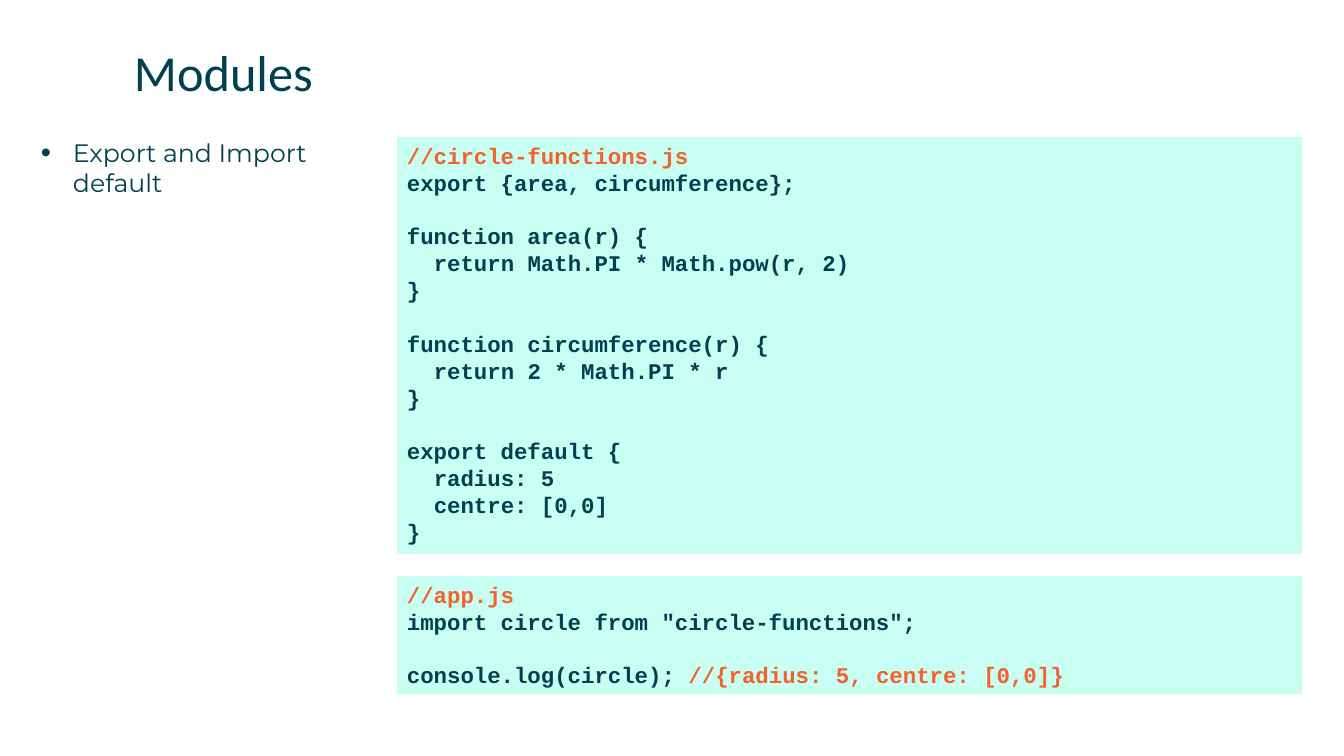
from pptx import Presentation
from pptx.dml.color import RGBColor
from pptx.enum.shapes import MSO_SHAPE as Shape
from pptx.enum.text import MSO_ANCHOR as Anchor, PP_ALIGN as Align
from pptx.oxml.ns import qn
from pptx.util import Pt
from lxml.etree import SubElement

TITLE = "Modules"
BULLET = "Export and Import default"
CIRCLE_CODE = """//circle-functions.js
export {area, circumference};

function area(r) {
  return Math.PI * Math.pow(r, 2)
}

function circumference(r) {
  return 2 * Math.PI * r
}

export default {
  radius: 5
  centre: [0,0]
}"""
APP_CODE = """//app.js
import circle from "circle-functions";

console.log(circle); //{radius: 5, centre: [0,0]}"""

# left, top, width, height in px
TITLE_BOX = (134, 41, 1168, 57)
BULLET_BOX = (41, 137, 355, 578)
CODE_BOXES = [
    ((397, 576, 905, 118), APP_CODE),
    ((397, 137, 905, 417), CIRCLE_CODE),
]

INK, COMMENT, PANEL = "004050", "F3612C", "C8FFF2"
TITLE_FONT = {"name": "Calibri", "size": Pt(36)}
BULLET_FONT = {"name": "Montserrat", "size": Pt(18)}
CODE_FONT = {"name": "Courier New", "size": Pt(16), "bold": True}
CODE_LINE = Pt(19.2)
CODE_CHARACTER = Pt(9.6)
EMU_PER_PX = 914400 / 100.8


def px(length):
    return round(length * EMU_PER_PX)


def color(hex_string):
    return RGBColor.from_string(hex_string)


def add_run(paragraph, text, font_format, ink=INK):
    run = paragraph.add_run()
    run.text = text
    for name, value in font_format.items():
        setattr(run.font, name, value)
    run.font.color.rgb = color(ink)


def set_indent(paragraph, left, first=0):
    properties = paragraph._p.get_or_add_pPr()
    properties.set("marL", str(left))
    properties.set("indent", str(first))
    return properties


def add_text(slide, box, text, font_format):
    frame = slide.shapes.add_textbox(*map(px, box)).text_frame
    frame.word_wrap = True
    for side in ("left", "top", "right", "bottom"):
        setattr(frame, f"margin_{side}", 0)
    paragraph = frame.paragraphs[0]
    add_run(paragraph, text, font_format)
    return paragraph


def add_bullet(paragraph):
    paragraph.space_after = Pt(6.5)
    properties = set_indent(paragraph, px(32), px(-32))
    SubElement(properties, qn("a:buSzPct"), val="115000")
    SubElement(properties, qn("a:buFont"), typeface="Arial")
    SubElement(properties, qn("a:buChar"), char="•")


def add_code(slide, box, code):
    """Draw a code panel: blank lines become spacing, leading spaces an indent."""
    panel = slide.shapes.add_shape(Shape.RECTANGLE, *map(px, box))
    panel.shadow.inherit = False
    panel.fill.solid()
    panel.fill.fore_color.rgb = color(PANEL)
    panel.line.fill.background()
    frame = panel.text_frame
    frame.word_wrap = True
    frame.vertical_anchor = Anchor.TOP
    paragraph = frame.paragraphs[0]
    after_blank = False
    for number, line in enumerate(code.split("\n")):
        if not line:
            after_blank = True
            continue
        if number:
            paragraph = frame.add_paragraph()
        paragraph.alignment = Align.LEFT
        paragraph.line_spacing = CODE_LINE
        paragraph.space_before = CODE_LINE if after_blank else 0
        after_blank = False
        statement = line.lstrip()
        set_indent(paragraph, (len(line) - len(statement)) * CODE_CHARACTER)
        source, slashes, remark = statement.partition("//")
        for text, ink in ((source, INK), (slashes + remark, COMMENT)):
            if text:
                add_run(paragraph, text, CODE_FONT, ink)


def main():
    presentation = Presentation()
    presentation.slide_width, presentation.slide_height = px(1344), px(756)
    slide = presentation.slides.add_slide(presentation.slide_layouts[6])
    add_text(slide, TITLE_BOX, TITLE, TITLE_FONT)
    add_bullet(add_text(slide, BULLET_BOX, BULLET, BULLET_FONT))
    for box, code in CODE_BOXES:
        add_code(slide, box, code)
    presentation.save("out.pptx")


if __name__ == "__main__":
    main()
